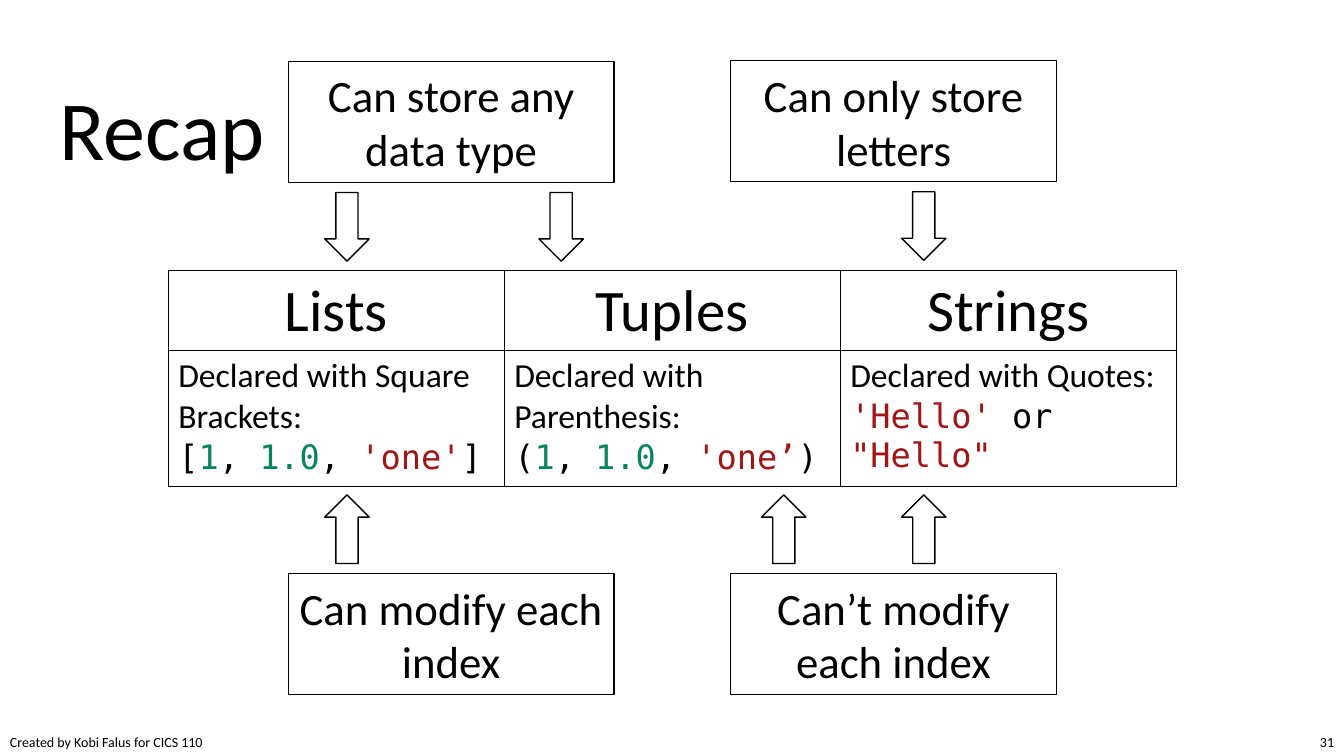
from lxml import etree
from pptx import Presentation
from pptx.dml.color import RGBColor
from pptx.enum import shapes, text
from pptx.oxml import ns
from pptx.util import Pt

COLORS = {"ink": "000000", "paper": "FFFFFF", "number": "098658", "string": "A31515"}
BODY, CODE = "Calibri", "DejaVu Sans Mono"
CENTER, RIGHT = text.PP_ALIGN.CENTER, text.PP_ALIGN.RIGHT
ARROW_WIDTH, ARROW_HEIGHT, GAP = 31.7, 49, 7.2

COLUMNS = [
    ("Lists", "Declared with Square Brackets:",
     [("[", "ink"), ("1", "number"), (", ", "ink"), ("1.0", "number"),
      (", ", "ink"), ("'one'", "string"), ("]", "ink")]),
    ("Tuples", "Declared with Parenthesis:",
     [("(", "ink"), ("1", "number"), (", ", "ink"), ("1.0", "number"),
      (", ", "ink"), ("'one’", "string"), (")", "ink")]),
    ("Strings", "Declared with Quotes:",
     [("'Hello' ", "string"), ("or ", "ink"), ('"Hello"', "string")]),
]


def color(name):
    """Return the named colour."""
    return RGBColor.from_string(COLORS[name])


def write(paragraph, content, size=24, font=BODY, ink="ink", align=None):
    """Add a formatted run to a paragraph."""
    run = paragraph.add_run()
    run.text = content
    run.font.size = Pt(size)
    run.font.name = font
    run.font.color.rgb = color(ink)
    if align is not None:
        paragraph.alignment = align


def add_outlined(slide, kind, box):
    """Add a white shape with a thin black outline."""
    shape = slide.shapes.add_shape(kind, *map(Pt, box))
    shape.shadow.inherit = False
    shape.fill.solid()
    shape.fill.fore_color.rgb = color("paper")
    shape.line.color.rgb = color("ink")
    shape.line.width = Pt(1)
    return shape


def add_note(slide, box, content, arrow_offsets, above):
    """Add a boxed note with arrows pointing from it to the table."""
    left, top, width, height = box
    note = add_outlined(slide, shapes.MSO_SHAPE.RECTANGLE, box)
    note.text_frame.word_wrap = True
    note.text_frame.vertical_anchor = text.MSO_ANCHOR.MIDDLE
    write(note.text_frame.paragraphs[0], content, size=32, align=CENTER)
    arrow_top = top + height + GAP if above else top - GAP - ARROW_HEIGHT
    for offset in arrow_offsets:
        arrow = add_outlined(slide, shapes.MSO_SHAPE.DOWN_ARROW,
                             (left + offset, arrow_top, ARROW_WIDTH, ARROW_HEIGHT))
        arrow.rotation = 0 if above else 180


def format_cell(cell):
    """Give a cell a white fill and black borders."""
    properties = cell._tc.get_or_add_tcPr()
    for side in ("lnL", "lnR", "lnT", "lnB"):
        border = etree.SubElement(properties, ns.qn(f"a:{side}"), w=str(Pt(1)))
        fill = etree.SubElement(border, ns.qn("a:solidFill"))
        etree.SubElement(fill, ns.qn("a:srgbClr"), val=COLORS["ink"])
    cell.fill.solid()
    cell.fill.fore_color.rgb = color("paper")


def add_comparison(slide, box, row_heights):
    """Add the table comparing the three sequence types."""
    table = slide.shapes.add_table(2, len(COLUMNS), *map(Pt, box)).table
    table.first_row = table.horz_banding = False
    for row, height in zip(table.rows, row_heights):
        row.height = Pt(height)
    for index, (name, declaration, code) in enumerate(COLUMNS):
        table.columns[index].width = Pt(box[2] / len(COLUMNS))
        header, body = table.cell(0, index), table.cell(1, index)
        format_cell(header)
        format_cell(body)
        write(header.text_frame.paragraphs[0], name, size=42, align=CENTER)
        write(body.text_frame.paragraphs[0], declaration)
        code_line = body.text_frame.add_paragraph()
        for part, ink in code:
            write(code_line, part, font=CODE, ink=ink)


def add_title(slide, box, content):
    """Place and format the title."""
    title = slide.shapes.title
    title.left, title.top, title.width, title.height = map(Pt, box)
    title.text_frame.vertical_anchor = text.MSO_ANCHOR.MIDDLE
    paragraph = title.text_frame.paragraphs[0]
    paragraph.line_spacing = 0.9
    write(paragraph, content, size=60, align=text.PP_ALIGN.LEFT)


def add_footer(slide, box, content, align=None, wrap=True):
    """Add a small footer text."""
    frame = slide.shapes.add_textbox(*map(Pt, box)).text_frame
    frame.word_wrap = wrap
    write(frame.paragraphs[0], content, size=10, align=align)


def build_recap(presentation):
    """Build the recap slide."""
    slide = presentation.slides.add_slide(presentation.slide_layouts[5])
    add_footer(slide, (0, 520.6, 154.8, 19.4), "Created by Kobi Falus for CICS 110", wrap=False)
    add_footer(slide, (920.4, 520.6, 39.6, 19.4), "31", align=RIGHT)
    add_comparison(slide, (120.2, 193, 720, 154), (57.4, 96.6))
    left, right, width, height = 206, 522, 232.6, 86.4
    top, bottom = 43.4, 409.7
    add_note(slide, (left, top + 0.5, width, height), "Can store any data type", (26, 179), True)
    add_note(slide, (right, top, width, height), "Can only store letters", (122,), True)
    add_note(slide, (left, bottom, width, height), "Can modify each index", (26,), False)
    add_note(slide, (right, bottom, width, height), "Can’t modify each index", (22, 122), False)
    add_title(slide, (35.3, 43.2, 170.6, 104.4), "Recap")


def main():
    """Create and save the presentation."""
    presentation = Presentation()
    presentation.slide_width, presentation.slide_height = Pt(960), Pt(540)
    build_recap(presentation)
    presentation.save("out.pptx")


if __name__ == "__main__":
    main()
